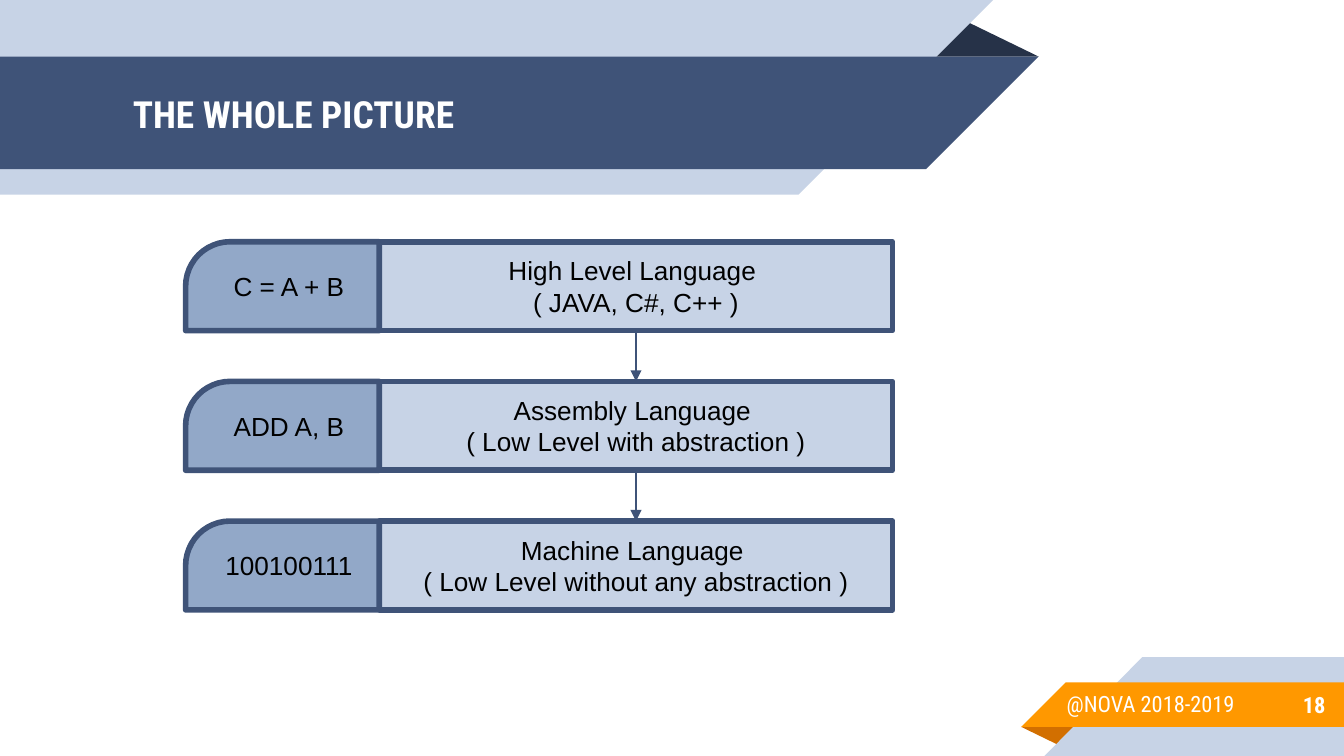
"""Build the slide that shows three language levels, from high level to machine code."""
from dataclasses import dataclass

from lxml import etree
from pptx import Presentation
from pptx import util as u
from pptx.dml.color import RGBColor
from pptx.enum import shapes, text
from pptx.oxml import ns

NAVY = RGBColor(0x3F, 0x53, 0x78)
DARK = RGBColor(0x26, 0x32, 0x48)
PALE = RGBColor(0xC7, 0xD3, 0xE6)
STEEL = RGBColor(0x92, 0xA8, 0xC8)
ORANGE = RGBColor(0xFF, 0x98, 0x00)
RUST = RGBColor(0xD2, 0x6F, 0x00)
WHITE = RGBColor(0xFF, 0xFF, 0xFF)
BLACK = RGBColor(0x00, 0x00, 0x00)

WIDTH, HEIGHT = 25.4, 14.29
CODE_LEFT, CODE_WIDTH = 3.51, 3.66
NAME_LEFT, NAME_WIDTH = CODE_LEFT + CODE_WIDTH, 9.7
LEVEL_TOP, LEVEL_HEIGHT, LEVEL_PITCH = 4.57, 1.68, 2.64


@dataclass(frozen=True)
class Band:
    color: RGBColor
    points: tuple[tuple[float, float], ...]


@dataclass(frozen=True)
class Label:
    words: str
    place: tuple[float, float, float, float]
    size: int
    bold: bool
    align: text.PP_ALIGN
    anchor: text.MSO_ANCHOR


@dataclass(frozen=True)
class Level:
    code: str
    name: str
    detail: str


BANDS = (
    Band(DARK, ((17.48, 1.07), (18.17, 0.36), (19.63, 1.07))),
    Band(PALE, ((0, 0), (18.77, 0), (15.09, 3.68), (0, 3.68))),
    Band(NAVY, ((0, 1.07), (19.63, 1.07), (17.5, 3.2), (0, 3.2))),
    Band(RUST, ((19.3, 13.74), (20.4, 13.74), (20.04, 14.1))),
    Band(PALE, ((19.74, HEIGHT), (21.59, 12.42), (WIDTH, 12.42), (WIDTH, HEIGHT))),
    Band(ORANGE, ((19.3, 13.74), (20.14, 12.9), (WIDTH, 12.9), (WIDTH, 13.74))),
)
LABELS = (
    Label("THE WHOLE PICTURE ", (2.26, 1.09, 14.61, 2.13), 20, True,
          text.PP_ALIGN.LEFT, text.MSO_ANCHOR.MIDDLE),
    Label("18", (21.16, 12.88, 4.14, 0.89), 12, True,
          text.PP_ALIGN.RIGHT, text.MSO_ANCHOR.MIDDLE),
    Label("@NOVA 2018-2019", (19.91, 12.8, 4.55, 1.4), 12, False,
          text.PP_ALIGN.LEFT, text.MSO_ANCHOR.TOP),
)
LEVELS = (
    Level("C = A + B", "High Level Language ", "( JAVA, C#, C++ )"),
    Level("ADD A, B", "Assembly Language ", "( Low Level with abstraction )"),
    Level("100100111", "Machine Language ", "( Low Level without any abstraction )"),
)


def apply(target, values: dict) -> None:
    for name, value in values.items():
        setattr(target, name, value)


def write(shape, lines: tuple[str, ...], color: RGBColor, font: dict,
          align=text.PP_ALIGN.CENTER, anchor=text.MSO_ANCHOR.MIDDLE) -> None:
    frame = shape.text_frame
    apply(frame, {"word_wrap": True, "vertical_anchor": anchor})
    apply(frame, {f"margin_{side}": u.Cm(0.25) for side in ("left", "top", "right", "bottom")})
    para = frame.paragraphs[0]
    para.alignment = align
    for index, line in enumerate(lines):
        if index:
            para.add_line_break()
        span = para.add_run()
        span.text = line
        apply(span.font, font)
        span.font.color.rgb = color


def paint(shape, color: RGBColor) -> None:
    shape.shadow.inherit = False
    shape.fill.solid()
    shape.fill.fore_color.rgb = color


def draw_band(page, band: Band) -> None:
    points = [(u.Cm(x), u.Cm(y)) for x, y in band.points]
    builder = page.shapes.build_freeform(*points[0])
    builder.add_line_segments(points[1:], close=True)
    shape = builder.convert_to_shape()
    paint(shape, band.color)
    shape.line.fill.background()


def draw_label(page, label: Label) -> None:
    box = page.shapes.add_textbox(*map(u.Cm, label.place))
    font = {"name": "Roboto Condensed", "size": u.Pt(label.size), "bold": label.bold}
    write(box, (label.words,), WHITE, font, label.align, label.anchor)


def draw_box(page, kind, left: float, top: float, width: float,
             color: RGBColor, lines: tuple[str, ...]):
    box = page.shapes.add_shape(kind, *map(u.Cm, (left, top, width, LEVEL_HEIGHT)))
    paint(box, color)
    box.line.color.rgb = NAVY
    box.line.width = u.Pt(3)
    write(box, lines, BLACK, {"name": "Arial", "size": u.Pt(14)})
    return box


def draw_level(page, level: Level, top: float) -> None:
    draw_box(page, shapes.MSO_SHAPE.RECTANGLE, NAME_LEFT, top, NAME_WIDTH,
             PALE, (level.name, level.detail))
    code = draw_box(page, shapes.MSO_SHAPE.ROUND_1_RECTANGLE, CODE_LEFT, top,
                    CODE_WIDTH, STEEL, (level.code,))
    code.adjustments[0] = 0.5
    code._element.spPr.find(ns.qn("a:xfrm")).set("flipH", "1")


def draw_arrow(page, start: float, end: float) -> None:
    middle = u.Cm(NAME_LEFT + NAME_WIDTH / 2)
    arrow = page.shapes.add_connector(
        shapes.MSO_CONNECTOR.STRAIGHT, middle, u.Cm(start), middle, u.Cm(end))
    arrow.line.color.rgb = NAVY
    arrow.line.width = u.Pt(1.5)
    etree.SubElement(arrow.line._get_or_add_ln(), ns.qn("a:tailEnd"), type="triangle")
    etree.SubElement(arrow._element.spPr, ns.qn("a:effectLst"))


def main() -> None:
    deck = Presentation()
    apply(deck, {"slide_width": u.Cm(WIDTH), "slide_height": u.Cm(HEIGHT)})
    page = deck.slides.add_slide(deck.slide_layouts[6])
    for band in BANDS:
        draw_band(page, band)
    for label in LABELS:
        draw_label(page, label)
    tops = [LEVEL_TOP + LEVEL_PITCH * index for index in range(len(LEVELS))]
    for level, top in zip(LEVELS, tops):
        draw_level(page, level, top)
    for top, following in zip(tops, tops[1:]):
        draw_arrow(page, top + LEVEL_HEIGHT, following)
    deck.save("out.pptx")


main()
